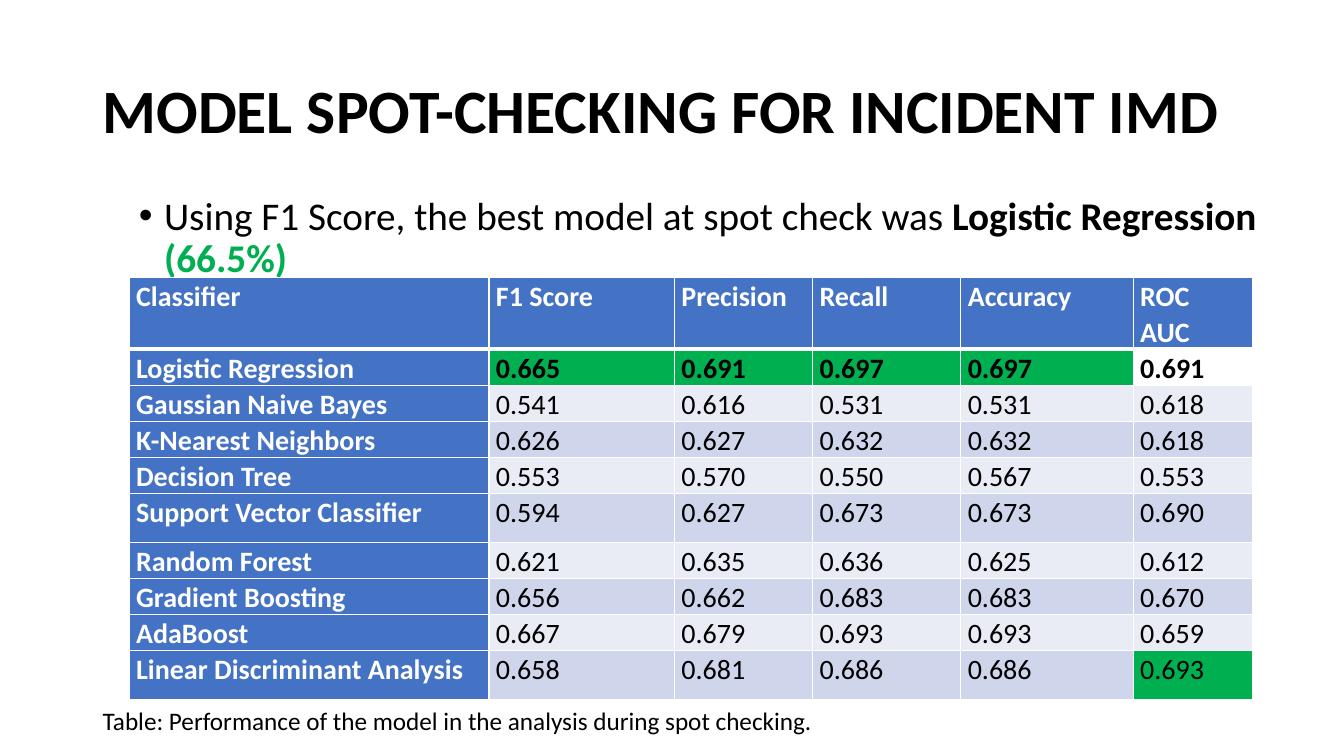
from lxml.etree import SubElement
from pptx import Presentation
from pptx.dml.color import RGBColor
from pptx.enum.text import MSO_ANCHOR as Anchor
from pptx.oxml.ns import qn
from pptx.util import Inches, Pt

FONT = "Calibri"
BLACK = RGBColor(0x00, 0x00, 0x00)
WHITE = RGBColor(0xFF, 0xFF, 0xFF)
BLUE = RGBColor(0x44, 0x72, 0xC4)
GREEN = RGBColor(0x00, 0xB0, 0x50)
BANDS = [RGBColor(0xCF, 0xD5, 0xEA), RGBColor(0xE9, 0xEB, 0xF5)]

COLUMN_WIDTHS = [3.57, 1.84, 1.37, 1.47, 1.71, 1.18]
ROW_HEIGHTS = [0.62, 0.35, 0.35, 0.35, 0.35, 0.49, 0.35, 0.35, 0.35, 0.49]
SCORES = [
    ["Classifier", "F1 Score", "Precision", "Recall", "Accuracy", "ROC AUC"],
    ["Logistic Regression", "0.665", "0.691", "0.697", "0.697", "0.691"],
    ["Gaussian Naive Bayes", "0.541", "0.616", "0.531", "0.531", "0.618"],
    ["K-Nearest Neighbors", "0.626", "0.627", "0.632", "0.632", "0.618"],
    ["Decision Tree", "0.553", "0.570", "0.550", "0.567", "0.553"],
    ["Support Vector Classifier", "0.594", "0.627", "0.673", "0.673", "0.690"],
    ["Random Forest", "0.621", "0.635", "0.636", "0.625", "0.612"],
    ["Gradient Boosting", "0.656", "0.662", "0.683", "0.683", "0.670"],
    ["AdaBoost", "0.667", "0.679", "0.693", "0.693", "0.659"],
    ["Linear Discriminant Analysis", "0.658", "0.681", "0.686", "0.686", "0.693"],
]
BEST_ROW = 1
BEST_CELLS = {(BEST_ROW, column) for column in range(1, 5)} | {(9, 5)}


def set_font(font, size, color=BLACK, bold=False):
    font.name = FONT
    font.size = Pt(size)
    font.bold = bold
    font.color.rgb = color


def add_text_box(page, left, top, width, height, anchor=Anchor.TOP):
    box = page.shapes.add_textbox(*map(Inches, (left, top, width, height)))
    box.text_frame.word_wrap = True
    box.text_frame.vertical_anchor = anchor
    return box.text_frame.paragraphs[0]


def add_title(page, left, top, width, height):
    para = add_text_box(page, left, top, width, height, Anchor.MIDDLE)
    para.text = "MODEL SPOT-CHECKING FOR INCIDENT IMD"
    para.line_spacing = 0.9
    set_font(para.font, 44, bold=True)


def add_finding(page, left, top, width, height):
    para = add_text_box(page, left, top, width, height)
    para.line_spacing = 0.9

    # Bullet with a hanging indent
    props = para._p.get_or_add_pPr()
    props.set("marL", str(Inches(0.25)))
    props.set("indent", str(-Inches(0.25)))
    SubElement(props, qn("a:buFont"), typeface="Arial")
    SubElement(props, qn("a:buChar"), char="•")

    for text, color, bold in [
        ("Using F1 Score, the best model at spot check was ", BLACK, False),
        ("Logistic Regression ", BLACK, True),
        ("(66.5%)", GREEN, True),
    ]:
        span = para.add_run()
        span.text = text
        set_font(span.font, 28, color, bold)


def add_caption(page, left, top, width, height):
    para = add_text_box(page, left, top, width, height)
    para.text = "Table: Performance of the model in the analysis during spot checking."
    set_font(para.font, 18)


def add_borders(cell, row):
    widths = {"L": 1, "R": 1, "T": 3 if row == 1 else 1, "B": 3 if row == 0 else 1}
    props = cell._tc.get_or_add_tcPr()
    for side, width in widths.items():
        line = SubElement(props, qn(f"a:ln{side}"), w=str(Pt(width)))
        fill = SubElement(line, qn("a:solidFill"))
        SubElement(fill, qn("a:srgbClr"), val=str(WHITE))


def cell_fill(row, column):
    if row == 0 or column == 0:
        return BLUE
    if (row, column) in BEST_CELLS:
        return GREEN
    return WHITE if row == BEST_ROW else BANDS[(row + 1) % 2]


def style_cell(cell, row, column):
    heading = row == 0 or column == 0
    cell.margin_left = cell.margin_right = Inches(0.07)
    cell.margin_top = cell.margin_bottom = 0
    add_borders(cell, row)
    cell.fill.solid()
    cell.fill.fore_color.rgb = cell_fill(row, column)
    para = cell.text_frame.paragraphs[0]
    para.line_spacing = 1.07
    set_font(para.font, 20, WHITE if heading else BLACK, heading or row == BEST_ROW)


def add_score_table(page, left, top, width, height):
    table = page.shapes.add_table(
        len(SCORES), len(SCORES[0]), *map(Inches, (left, top, width, height))
    ).table
    for column, column_width in zip(table.columns, COLUMN_WIDTHS):
        column.width = Inches(column_width)
    for row, row_height in zip(table.rows, ROW_HEIGHTS):
        row.height = Inches(row_height)
    for row, values in enumerate(SCORES):
        for column, value in enumerate(values):
            cell = table.cell(row, column)
            cell.text = value
            style_cell(cell, row, column)


def main():
    deck = Presentation()
    deck.slide_width, deck.slide_height = Inches(13.33), Inches(7.5)
    page = deck.slides.add_slide(deck.slide_layouts[6])
    add_title(page, 0.92, 0.4, 11.5, 1.45)
    add_finding(page, 1.28, 1.9, 11.5, 0.74)
    add_caption(page, 0.92, 6.95, 12.06, 0.4)
    add_score_table(page, 1.28, 2.75, sum(COLUMN_WIDTHS), sum(ROW_HEIGHTS))
    deck.save("out.pptx")


if __name__ == "__main__":
    main()
